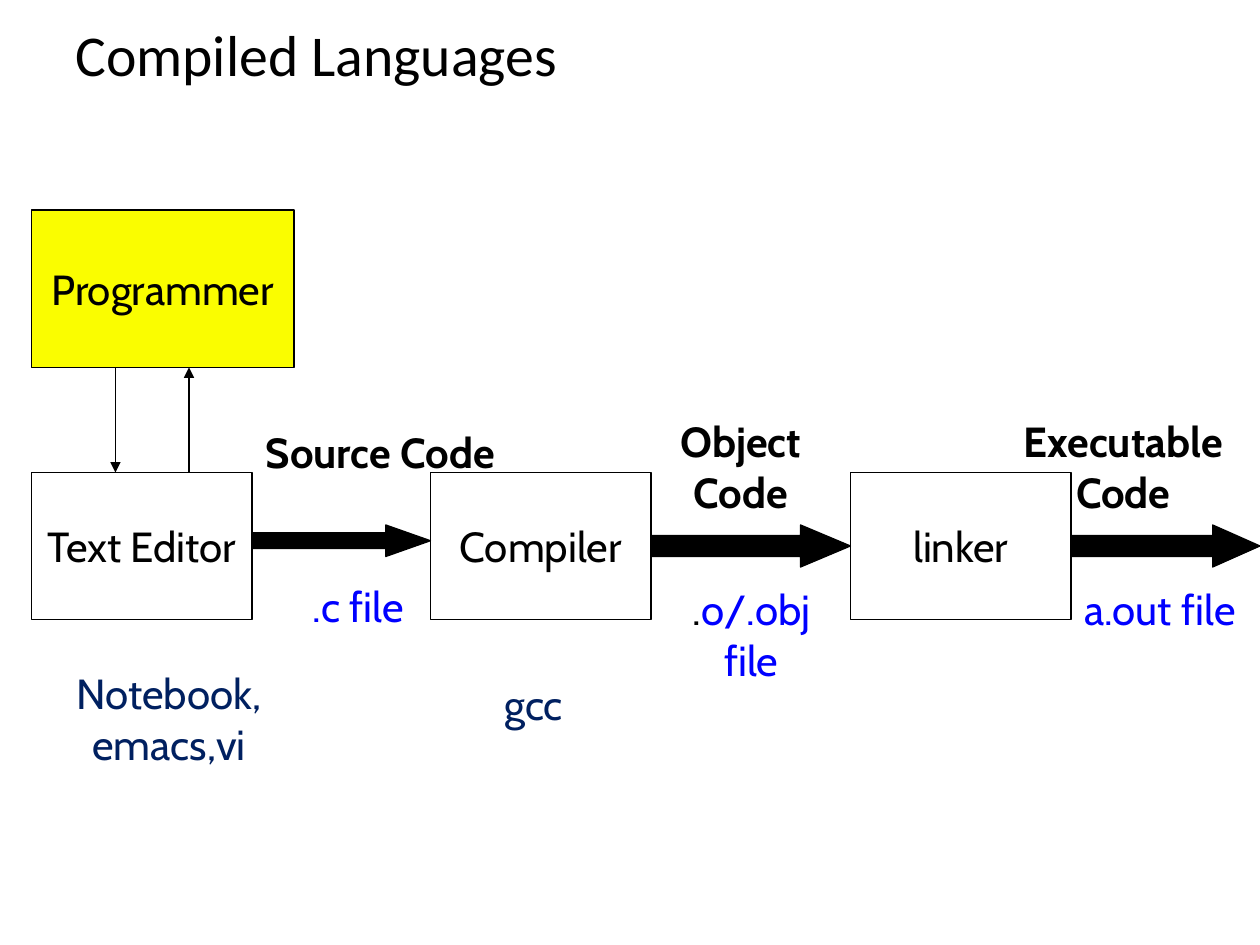
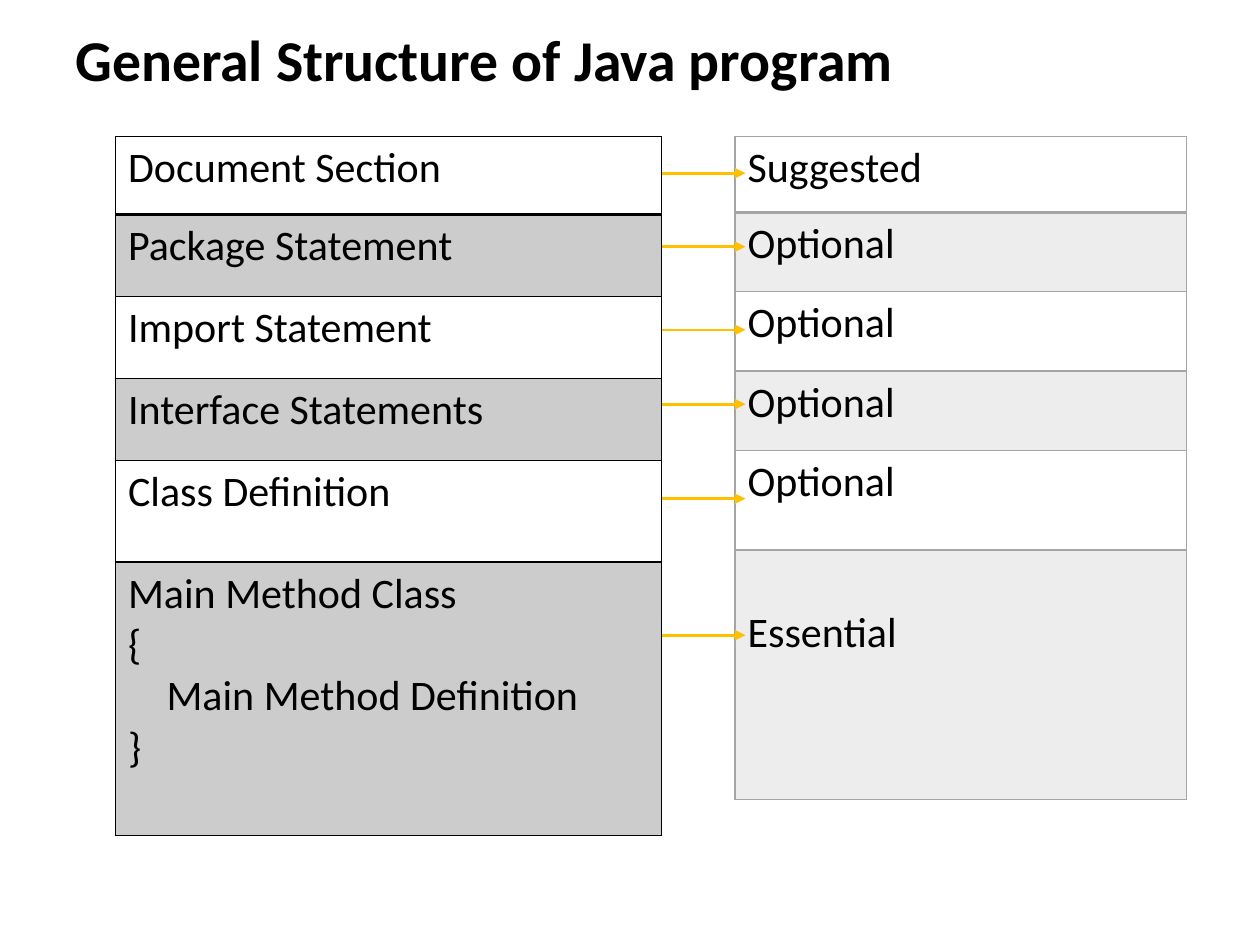
"""Build two slides on compiled languages and the structure of a Java program."""
from dataclasses import dataclass
from typing import Any

from lxml import etree
from pptx import Presentation
from pptx import util as u
from pptx.dml.color import RGBColor
from pptx.enum import shapes, text
from pptx.oxml.ns import qn

COLOURS = {
    "black": "000000",
    "white": "FFFFFF",
    "yellow": "FAFD00",
    "blue": "0000FF",
    "navy": "002060",
    "gold": "FFC000",
    "grey": "A5A5A5",
    "dark band": "CCCCCC",
    "light band": "EDEDED",
}
SLIDE_WIDTH, SLIDE_HEIGHT = 720, 540
TITLE_FORMAT = {"name": "Calibri", "size": u.Pt(33)}
DIAGRAM_FORMAT = {"name": "Cabin", "size": u.Pt(24)}
TABLE_FORMAT = {"name": "Calibri", "size": u.Pt(24)}
BOX_TOP, BOX_WIDTH, BOX_HEIGHT = 270, 126, 84
ARROW_TOP = 300
TABLE_TOP = 78


@dataclass
class Box:
    caption: str
    left: float
    top: float = BOX_TOP
    width: float = BOX_WIDTH
    height: float = BOX_HEIGHT
    fill: str = "white"


@dataclass
class Label:
    runs: list[tuple[str, str]]
    left: float
    top: float
    width: float
    height: float = 36
    bold: bool = False
    wrap: bool = True


@dataclass
class Row:
    lines: list[str]
    height: float
    top_margin: float = 3.6


@dataclass
class Column:
    left: float
    width: float
    border: str
    band: str
    rows: list[Row]


PROGRAMMER = Box("Programmer", 18, 120, 150, 90, "yellow")
STAGES = [Box("Text Editor", 18), Box("Compiler", 246), Box("linker", 486)]
ARROW_HEIGHTS = [18, 24, 24]
LABELS = [
    Label([("Source Code", "black")], 135.4, 240, 164, bold=True, wrap=False),
    Label([(".c file", "blue")], 169.2, 328.3, 71.3, wrap=False),
    Label([("Object Code", "black")], 354.2, 234, 138.2, 65, bold=True),
    Label([(".", "black"), ("o/.obj file", "blue")], 372.2, 330, 114.5, 65),
    Label([("Notebook, emacs,vi", "navy")], 23.8, 378, 145.4, 65),
    Label([("gcc", "navy")], 270, 384, 69.8),
    Label([("Executable Code", "black")], 563.8, 234, 156.2, 65, bold=True),
    Label([("a.out file", "blue")], 605.5, 330, 114.5),
]
SECTIONS = Column(66, 312, "black", "dark band", [
    Row(["Document Section"], 44.6),
    Row(["Package Statement"], 46.8),
    Row(["Import Statement"], 46.8),
    Row(["Interface Statements"], 46.8),
    Row(["Class Definition"], 58.3),
    Row(["Main Method Class", "{", "\tMain Method Definition", "}"], 156.2),
])
NEEDS = Column(420, 258, "grey", "light band", [
    Row(["Suggested"], 43.2),
    *[Row(["Optional"], 45.4) for _ in range(3)],
    Row(["Optional"], 56.9),
    Row(["Essential"], 142.6, 33),
])
NEED_ARROW_LEVELS = [99, 141, 188.5, 231, 285, 363]


def colour(name: str) -> RGBColor:
    """Return a named colour."""
    return RGBColor.from_string(COLOURS[name])


def apply_format(target: Any, values: dict[str, Any]) -> None:
    """Set each named attribute of the target."""
    for name, value in values.items():
        setattr(target, name, value)


def place(left: float, top: float, width: float, height: float) -> list[u.Length]:
    """Convert a frame to points."""
    return [u.Pt(length) for length in (left, top, width, height)]


def add_run(paragraph: Any, content: str, colour_name: str, values: dict[str, Any]) -> None:
    """Append one formatted run."""
    run = paragraph.add_run()
    run.text = content
    apply_format(run.font, values)
    run.font.color.rgb = colour(colour_name)


def add_title(slide: Any, content: str, height: float, bold: bool) -> None:
    """Add the slide title."""
    frame = slide.shapes.add_textbox(*place(36, 0, 648, height)).text_frame
    apply_format(frame, {"word_wrap": True, "vertical_anchor": text.MSO_ANCHOR.MIDDLE})
    paragraph = frame.paragraphs[0]
    paragraph.line_spacing = 0.9
    add_run(paragraph, content, "black", TITLE_FORMAT | {"bold": bold})


def add_solid(slide: Any, kind: Any, frame: list[u.Length], fill: str) -> Any:
    """Add a filled preset shape with a thin black outline."""
    shape = slide.shapes.add_shape(kind, *frame)
    shape.shadow.inherit = False
    shape.fill.solid()
    shape.fill.fore_color.rgb = colour(fill)
    shape.line.color.rgb = colour("black")
    shape.line.width = u.Pt(0.75)
    return shape


def add_box(slide: Any, box: Box) -> None:
    """Add a captioned box."""
    frame = place(box.left, box.top, box.width, box.height)
    shape = add_solid(slide, shapes.MSO_SHAPE.RECTANGLE, frame, box.fill)
    apply_format(shape.text_frame, {"word_wrap": False, "vertical_anchor": text.MSO_ANCHOR.MIDDLE})
    paragraph = shape.text_frame.paragraphs[0]
    paragraph.alignment = text.PP_ALIGN.CENTER
    add_run(paragraph, box.caption, "black", DIAGRAM_FORMAT)


def add_block_arrow(slide: Any, left: float, right: float, height: float) -> None:
    """Add a block arrow whose head takes a quarter of its length."""
    width = right - left
    frame = place(left, ARROW_TOP, width, height)
    shape = add_solid(slide, shapes.MSO_SHAPE.RIGHT_ARROW, frame, "black")
    shape.adjustments[1] = width / 4 / height


def add_label(slide: Any, label: Label) -> None:
    """Add a centred label."""
    frame = place(label.left, label.top, label.width, label.height)
    text_frame = slide.shapes.add_textbox(*frame).text_frame
    text_frame.word_wrap = label.wrap
    paragraph = text_frame.paragraphs[0]
    paragraph.alignment = text.PP_ALIGN.CENTER
    for content, colour_name in label.runs:
        add_run(paragraph, content, colour_name, DIAGRAM_FORMAT | {"bold": label.bold})


def add_line_arrow(slide: Any, start: tuple[float, float], end: tuple[float, float],
                   colour_name: str, width: float) -> None:
    """Add a straight line with an arrowhead at its end."""
    points = [u.Pt(length) for length in (*start, *end)]
    connector = slide.shapes.add_connector(shapes.MSO_CONNECTOR.STRAIGHT, *points)
    connector.line.color.rgb = colour(colour_name)
    connector.line.width = u.Pt(width)
    properties = connector._element.spPr
    etree.SubElement(properties.find(qn("a:ln")), qn("a:tailEnd"), type="triangle")
    etree.SubElement(properties, qn("a:effectLst"))


def add_border(cell: Any, side: str, colour_name: str, width: float) -> None:
    """Add a border to one side of a cell."""
    properties = cell._tc.get_or_add_tcPr()
    line = etree.SubElement(properties, qn(f"a:ln{side}"), w=str(u.Pt(width)))
    fill = etree.SubElement(line, qn("a:solidFill"))
    etree.SubElement(fill, qn("a:srgbClr"), val=COLOURS[colour_name])


def fill_cell(cell: Any, row: Row) -> None:
    """Write the lines of a row, indenting those that start with a tab."""
    cell.margin_top = u.Pt(row.top_margin)
    for index, line in enumerate(row.lines):
        frame = cell.text_frame
        paragraph = frame.add_paragraph() if index else frame.paragraphs[0]
        if line.startswith("\t"):
            paragraph._p.get_or_add_pPr().set("marL", str(u.Pt(22)))
        add_run(paragraph, line.strip(), "black", TABLE_FORMAT)


def add_column(slide: Any, column: Column) -> None:
    """Add a one-column table with every second row shaded."""
    height = sum(row.height for row in column.rows)
    frame = place(column.left, TABLE_TOP, column.width, height)
    table = slide.shapes.add_table(len(column.rows), 1, *frame).table
    apply_format(table, {"first_row": False, "horz_banding": False})
    for index, row in enumerate(column.rows):
        table.rows[index].height = u.Pt(row.height)
        cell = table.cell(index, 0)
        fill_cell(cell, row)
        widths = {"L": 1, "R": 1, "T": 2 if index == 1 else 1, "B": 2 if index == 0 else 1}
        for side, width in widths.items():
            add_border(cell, side, column.border, width)
        if index % 2:
            cell.fill.solid()
            cell.fill.fore_color.rgb = colour(column.band)
        else:
            cell.fill.background()


def build_compiled_languages(slide: Any) -> None:
    """Draw the path from programmer to executable."""
    add_title(slide, "Compiled Languages", 66, False)
    for box in [*STAGES, PROGRAMMER]:
        add_box(slide, box)
    arrow_ends = [stage.left for stage in STAGES[1:]] + [SLIDE_WIDTH]
    for stage, right, height in zip(STAGES, arrow_ends, ARROW_HEIGHTS):
        add_block_arrow(slide, stage.left + stage.width, right, height)
    programmer_bottom = PROGRAMMER.top + PROGRAMMER.height
    add_line_arrow(slide, (66, programmer_bottom), (66, BOX_TOP), "black", 0.75)
    add_line_arrow(slide, (108, BOX_TOP), (108, programmer_bottom), "black", 0.75)
    for label in LABELS:
        add_label(slide, label)


def build_java_structure(slide: Any) -> None:
    """Draw the program sections and how far each is needed."""
    add_title(slide, "General Structure of Java program", 72, True)
    for column in (SECTIONS, NEEDS):
        add_column(slide, column)
    start = SECTIONS.left + SECTIONS.width
    for level in NEED_ARROW_LEVELS:
        add_line_arrow(slide, (start, level), (NEEDS.left + 6, level), "gold", 1.5)


def main() -> None:
    """Build and save the presentation."""
    presentation = Presentation()
    size = {"slide_width": u.Pt(SLIDE_WIDTH), "slide_height": u.Pt(SLIDE_HEIGHT)}
    apply_format(presentation, size)
    for build in (build_compiled_languages, build_java_structure):
        build(presentation.slides.add_slide(presentation.slide_layouts[6]))
    presentation.save("out.pptx")


if __name__ == "__main__":
    main()
